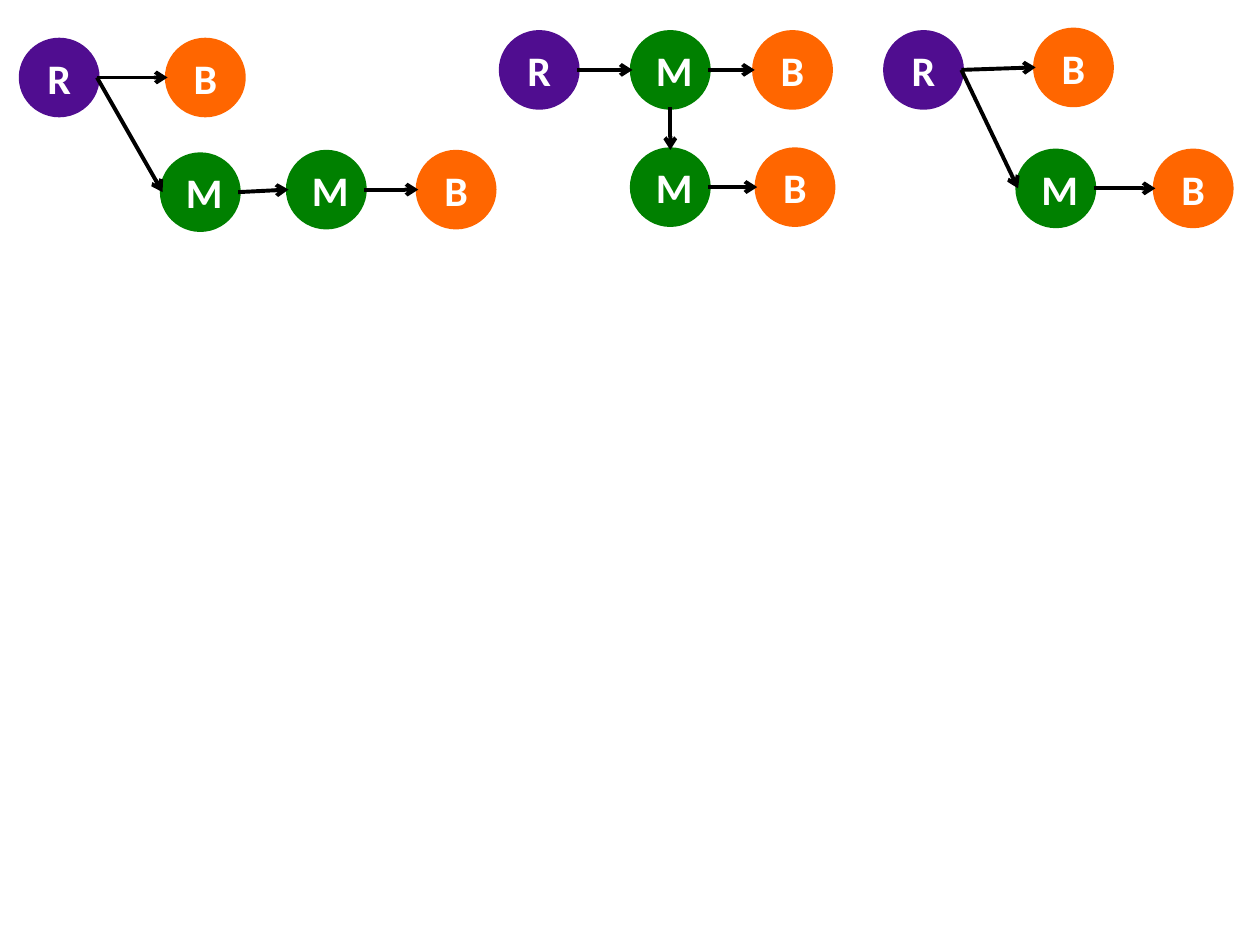
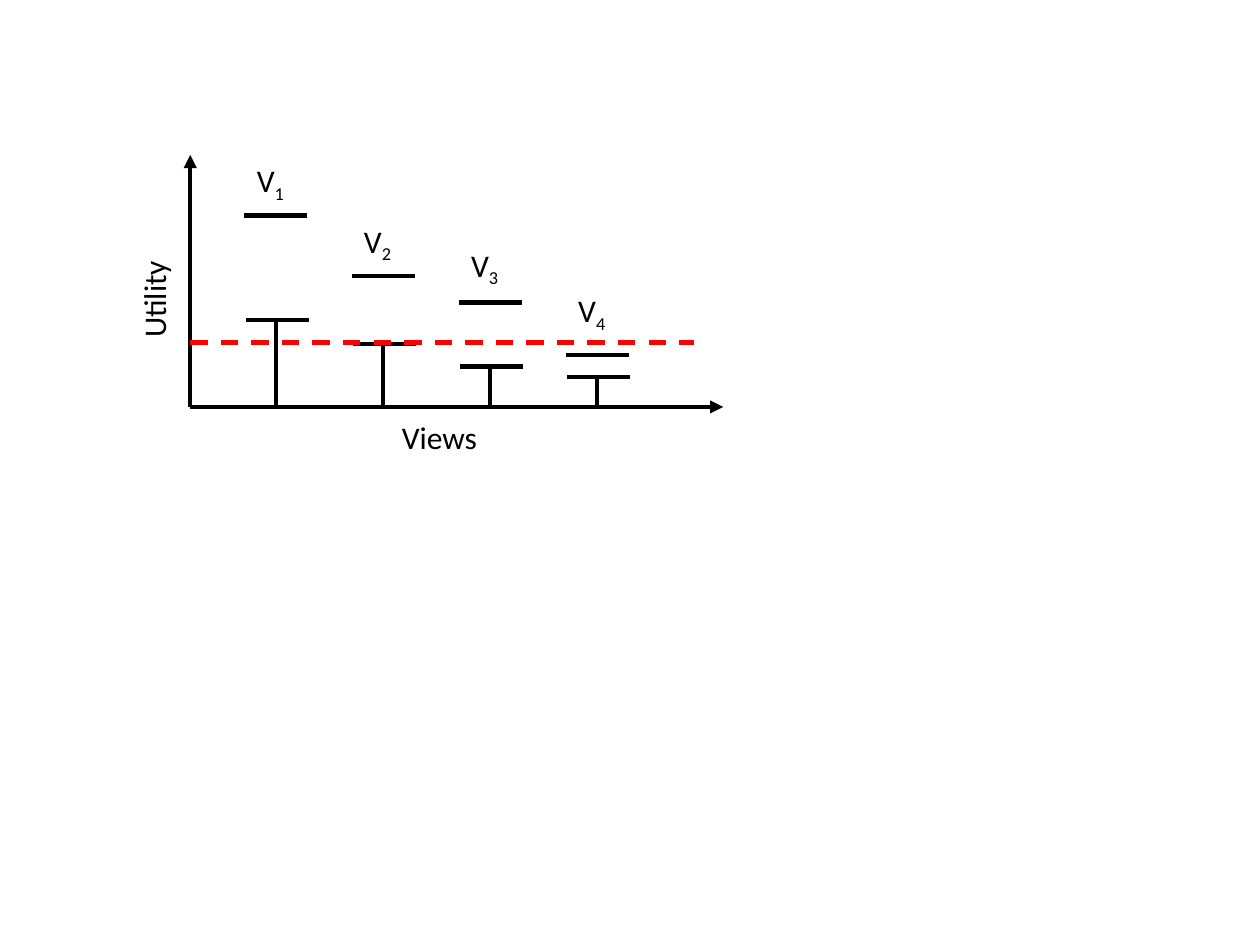
from lxml.etree import SubElement
from pptx import Presentation
from pptx.dml.color import RGBColor
from pptx.enum.dml import MSO_LINE
from pptx.enum.shapes import MSO_CONNECTOR, MSO_SHAPE
from pptx.enum.text import MSO_ANCHOR, MSO_AUTO_SIZE, PP_ALIGN
from pptx.oxml.ns import qn
from pptx.util import Inches, Pt

FONT = "Calibri"
COLORS = {"R": "500D90", "M": "008000", "B": "FF6600",
          "line": "000000", "text": "000000", "node_text": "FFFFFF",
          "threshold": "FF0000"}

NODE_W, NODE_H = 0.6, 0.59

# Each tree: root position, node offsets from the root, edges between node names.
# A node's first letter is its label and picks its colour.
TREES = [
    ((0.17, 0.32),
     {"R": (0, 0), "B1": (1.16, 0), "M1": (1.12, 0.91),
      "M2": (2.12, 0.89), "B2": (3.15, 0.89)},
     [("R", "B1"), ("R", "M1"), ("M1", "M2"), ("M2", "B2")]),
    ((3.98, 0.26),
     {"R": (0, 0), "M1": (1.04, 0), "B1": (2.01, 0),
      "M2": (1.04, 0.93), "B2": (2.03, 0.93)},
     [("R", "M1"), ("M1", "B1"), ("M1", "M2"), ("M2", "B2")]),
    ((7.03, 0.26),
     {"R": (0, 0), "B1": (1.19, -0.02), "M1": (1.05, 0.94), "B2": (2.14, 0.94)},
     [("R", "B1"), ("R", "M1"), ("M1", "B2")]),
]

# Upper bound, lower bound and label top of each view, below the plot's top.
VIEWS = [(0.48, 1.31, 0), (0.96, 1.5, 0.48), (1.17, 1.68, 0.67), (1.59, 1.76, 1.03)]
VIEW_START, VIEW_PITCH, BAR_W = 0.68, 0.85, 0.5
THRESHOLD_Y, THRESHOLD_W = 1.49, 4


def rgb(name):
    return RGBColor.from_string(COLORS[name])


def style_run(r, size, color, bold=False):
    r.font.name = FONT
    r.font.size = Pt(size)
    r.font.bold = bold
    r.font.color.rgb = rgb(color)


def add_line(s, start, end, width, color="line", head=None, dash=None):
    line = s.shapes.add_connector(MSO_CONNECTOR.STRAIGHT,
                                  *(Inches(v) for v in (*start, *end)))
    line.line.width = Pt(width)
    line.line.color.rgb = rgb(color)
    if dash:
        line.line.dash_style = dash
    if head:
        SubElement(line.line._get_or_add_ln(), qn("a:tailEnd")).set("type", head)
    SubElement(line._element.spPr, qn("a:effectLst"))


def add_label(s, x, y, w, text, subscript="", rotation=0):
    box = s.shapes.add_textbox(Inches(x), Inches(y), Inches(w), Inches(0.4))
    box.rotation = rotation
    tf = box.text_frame
    tf.word_wrap = True
    tf.auto_size = MSO_AUTO_SIZE.SHAPE_TO_FIT_TEXT
    p = tf.paragraphs[0]
    p.text = text
    if subscript:
        r = p.add_run()
        r.text = subscript
        r._r.get_or_add_rPr().set("baseline", "-25000")
    for r in p.runs:
        style_run(r, 18, "text")


def add_node(s, x, y, label):
    sp = s.shapes.add_shape(MSO_SHAPE.OVAL, Inches(x), Inches(y),
                            Inches(NODE_W), Inches(NODE_H))
    sp.shadow.inherit = False
    sp.fill.solid()
    sp.fill.fore_color.rgb = rgb(label)
    sp.line.color.rgb = rgb(label)
    sp.line.width = Pt(3)
    tf = sp.text_frame
    tf.vertical_anchor = MSO_ANCHOR.MIDDLE
    p = tf.paragraphs[0]
    p.text = label
    p.alignment = PP_ALIGN.CENTER
    style_run(p.runs[0], 24, "node_text", bold=True)


def edge_ends(source, target):
    """Join bottom to top in one column, otherwise right side to left side."""
    (x1, y1), (x2, y2) = source, target
    if x1 == x2:
        middle = x1 + NODE_W / 2
        return (middle, y1 + NODE_H), (middle, y2)
    return (x1 + NODE_W, y1 + NODE_H / 2), (x2, y2 + NODE_H / 2)


def add_tree(s, left, top, offsets, edges):
    nodes = {name: (left + dx, top + dy) for name, (dx, dy) in offsets.items()}
    for name, (x, y) in nodes.items():
        add_node(s, x, y, name[0])
    for source, target in edges:
        add_line(s, *edge_ends(nodes[source], nodes[target]), 2.25, head="arrow")


def add_utility_plot(s, left, top, width, height):
    base = top + height
    for end in ((left, top), (left + width, base)):
        add_line(s, (left, base), end, 2.5, head="triangle")

    centers = [left + VIEW_START + i * VIEW_PITCH for i in range(len(VIEWS))]
    for x, (upper, lower, _) in zip(centers, VIEWS):
        for y, shift in ((lower, 0.01), (upper, 0)):
            bar_x = x - BAR_W / 2 + shift
            add_line(s, (bar_x, top + y), (bar_x + BAR_W, top + y), 2.5)
        add_line(s, (x, top + lower), (x, base), 2.5)

    y = top + THRESHOLD_Y
    add_line(s, (left, y), (left + THRESHOLD_W, y), 2.5, "threshold",
             dash=MSO_LINE.DASH)

    for i, (x, (_, _, label_top)) in enumerate(zip(centers, VIEWS), 1):
        add_label(s, x - BAR_W / 2, top + label_top, 0.51, "V", str(i))
    add_label(s, left - 0.73, top + 0.91, 0.88, "Utility", rotation=270)
    add_label(s, left + 1.58, base + 0.04, 1.09, "Views")


def main():
    prs = Presentation()
    prs.slide_width, prs.slide_height = Inches(10), Inches(7.5)
    blank = prs.slide_layouts[6]

    s = prs.slides.add_slide(blank)
    for (left, top), offsets, edges in TREES:
        add_tree(s, left, top, offsets, edges)

    s = prs.slides.add_slide(blank)
    add_utility_plot(s, 1.51, 1.23, 4.23, 2)

    prs.save("out.pptx")


if __name__ == "__main__":
    main()
